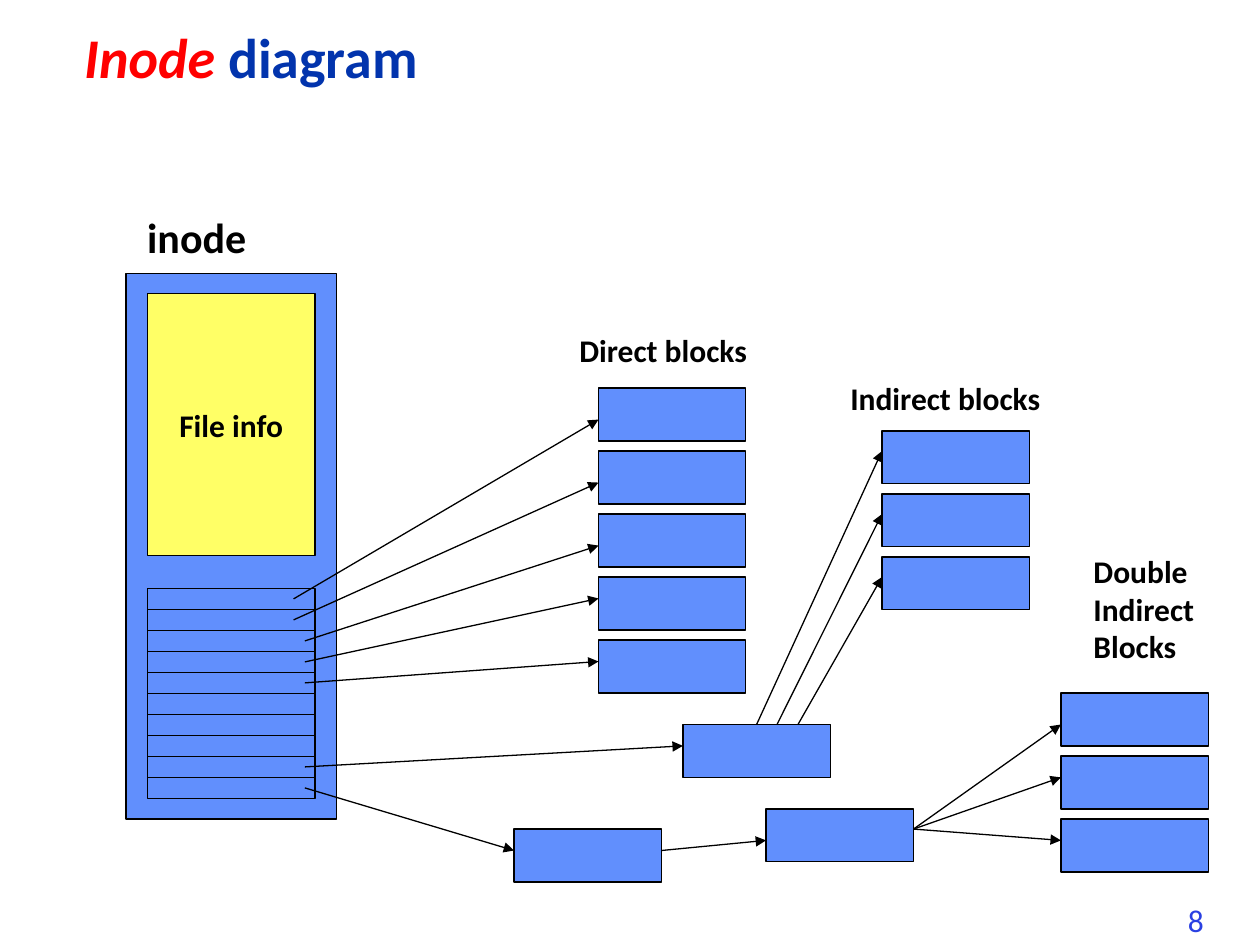
"""Build the inode diagram slide."""
from lxml import etree
from pptx import Presentation
from pptx.dml.color import RGBColor
from pptx.enum.shapes import MSO_CONNECTOR, MSO_SHAPE
from pptx.enum.text import MSO_ANCHOR, MSO_AUTO_SIZE, PP_ALIGN
from pptx.oxml.ns import qn
from pptx.util import Inches, Pt

RECTANGLE, STRAIGHT = MSO_SHAPE.RECTANGLE, MSO_CONNECTOR.STRAIGHT
MIDDLE, CENTER = MSO_ANCHOR.MIDDLE, PP_ALIGN.CENTER
FIT_SHAPE = MSO_AUTO_SIZE.SHAPE_TO_FIT_TEXT
TOP_SITE = 0

FONT = "Calibri"
COLORS = {"block": "618FFD", "info": "FFFF66", "black": "000000",
          "red": "FF0000", "navy": "0234AD", "number": "2A40E2"}

TITLE_BOX = (0.57, 0.19, 7.83, 0.58)
TITLE_RUNS = [("Inode ", "red", True), ("diagram", "navy", False)]
LABELS = [
    (["inode"], (1.07, 1.63, 1.02, 0.5), 24, "black", True),
    (["Direct blocks"], (4.5, 2.58, 1.54, 0.4), 18, "black", True),
    (["Indirect blocks"], (6.65, 2.96, 1.72, 0.4), 18, "black", True),
    (["Double", "Indirect", "Blocks"], (8.58, 4.33, 1.09, 1), 18, "black", True),
    (["8"], (9.33, 7.1, 0.51, 0.4), 18, "number", False),
]

INODE_BOX = (1, 2.17, 1.67, 4.33)
INFO_BOX = (1.17, 2.33, 1.33, 2.08)
POINTER_LEFT, POINTER_TOP, POINTER_WIDTH = 1.17, 4.67, 1.33
POINTER_COUNT, POINTER_HEIGHT = 10, 1 / 6

BLOCK_WIDTH, BLOCK_HEIGHT, BLOCK_PITCH = 1.17, 0.42, 0.5
BLOCK_COLUMNS = {
    "direct": (4.75, 3.08, 5),
    "single": (5.42, 5.75, 1),
    "indirect": (7, 3.42, 3),
    "double first": (4.08, 6.58, 1),
    "double second": (6.08, 6.42, 1),
    "double indirect": (8.42, 5.5, 3),
}

POINTER_ARROWS = [
    (0, 2.33, (4.75, 3.33)), (1, 2.33, (4.75, 3.83)),
    (2, 2.42, (4.75, 4.33)), (3, 2.42, (4.75, 4.75)),
    (4, 2.42, (4.75, 5.25)), (8, 2.42, (5.42, 5.92)),
    (9, 2.42, (4.08, 6.75)),
]
INDIRECT_ARROWS = [((6 + i / 6, 5.75), (7, 3.58 + i * BLOCK_PITCH)) for i in range(3)]
DOUBLE_ARROWS = [((7.25, 6.58), (8.42, y)) for y in (5.75, 6.17, 6.67)]
CHAIN_ARROW = ((5.25, 6.75), (6.08, 6.67))


def color(name):
    return RGBColor.from_string(COLORS[name])


def add_run(paragraph, text, size, color_name, bold=True, italic=False):
    run = paragraph.add_run()
    run.text = text
    run.font.name, run.font.size = FONT, Pt(size)
    run.font.bold, run.font.italic = bold, italic
    run.font.color.rgb = color(color_name)


def add_rectangle(slide, box, fill="block"):
    shape = slide.shapes.add_shape(RECTANGLE, *map(Inches, box))
    shape.shadow.inherit = False
    shape.fill.solid()
    shape.fill.fore_color.rgb = color(fill)
    shape.line.color.rgb = color("black")
    shape.line.width = Pt(0.75)
    return shape


def add_label(slide, lines, box, size, color_name, bold):
    frame = slide.shapes.add_textbox(*map(Inches, box)).text_frame
    frame.word_wrap = False
    frame.auto_size = FIT_SHAPE
    for index, line in enumerate(lines):
        paragraph = frame.add_paragraph() if index else frame.paragraphs[0]
        add_run(paragraph, line, size, color_name, bold)


def add_title(slide):
    frame = slide.shapes.add_textbox(*map(Inches, TITLE_BOX)).text_frame
    frame.word_wrap = True
    frame.vertical_anchor = MIDDLE
    frame.paragraphs[0].line_spacing = 0.9
    for text, color_name, italic in TITLE_RUNS:
        add_run(frame.paragraphs[0], text, 32, color_name, italic=italic)


def add_arrow(slide, start, end):
    arrow = slide.shapes.add_connector(STRAIGHT, *map(Inches, start + end))
    arrow.line.color.rgb = color("black")
    arrow.line.width = Pt(0.75)
    line = arrow.line._get_or_add_ln()
    etree.SubElement(line, qn("a:tailEnd"), type="triangle")
    etree.SubElement(arrow._element.spPr, qn("a:effectLst"))
    return arrow


def add_inode(slide):
    add_rectangle(slide, INODE_BOX)
    frame = add_rectangle(slide, INFO_BOX, "info").text_frame
    frame.word_wrap = False
    frame.vertical_anchor = MIDDLE
    frame.paragraphs[0].alignment = CENTER
    add_run(frame.paragraphs[0], "File info", 18, "black")
    for row in range(POINTER_COUNT):
        top = POINTER_TOP + row * POINTER_HEIGHT
        add_rectangle(slide, (POINTER_LEFT, top, POINTER_WIDTH, POINTER_HEIGHT))


def add_blocks(slide):
    blocks = {}
    for name, (left, top, count) in BLOCK_COLUMNS.items():
        blocks[name] = [
            add_rectangle(slide, (left, top + row * BLOCK_PITCH, BLOCK_WIDTH, BLOCK_HEIGHT))
            for row in range(count)]
    return blocks


def add_arrows(slide, blocks):
    for row, left, end in POINTER_ARROWS:
        add_arrow(slide, (left, POINTER_TOP + (row + 0.5) * POINTER_HEIGHT), end)
    indirect = [add_arrow(slide, start, end) for start, end in INDIRECT_ARROWS]
    indirect[0].begin_connect(blocks["single"][0], TOP_SITE)
    for start, end in DOUBLE_ARROWS + [CHAIN_ARROW]:
        add_arrow(slide, start, end)


def main():
    presentation = Presentation()
    presentation.slide_width, presentation.slide_height = Inches(10), Inches(7.5)
    slide = presentation.slides.add_slide(presentation.slide_layouts[6])
    add_title(slide)
    add_inode(slide)
    blocks = add_blocks(slide)
    for label in LABELS:
        add_label(slide, *label)
    add_arrows(slide, blocks)
    presentation.save("out.pptx")


if __name__ == "__main__":
    main()
